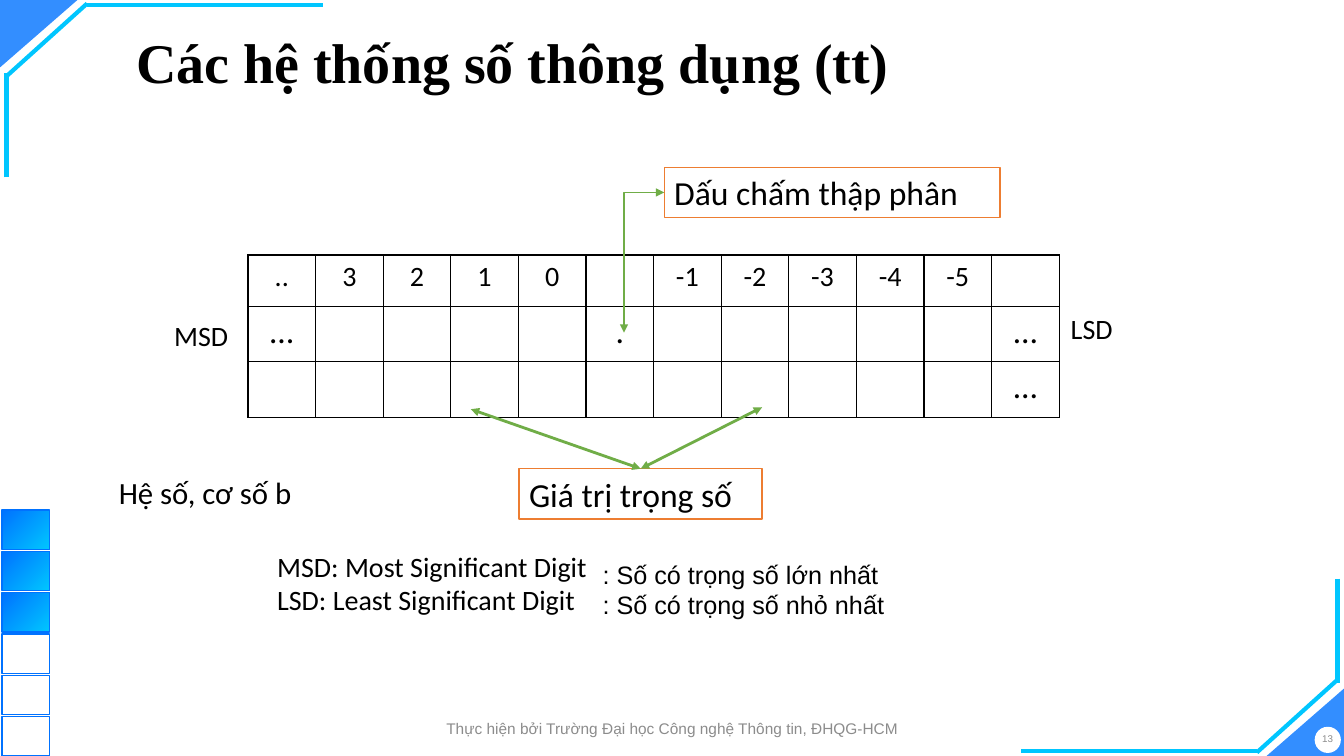
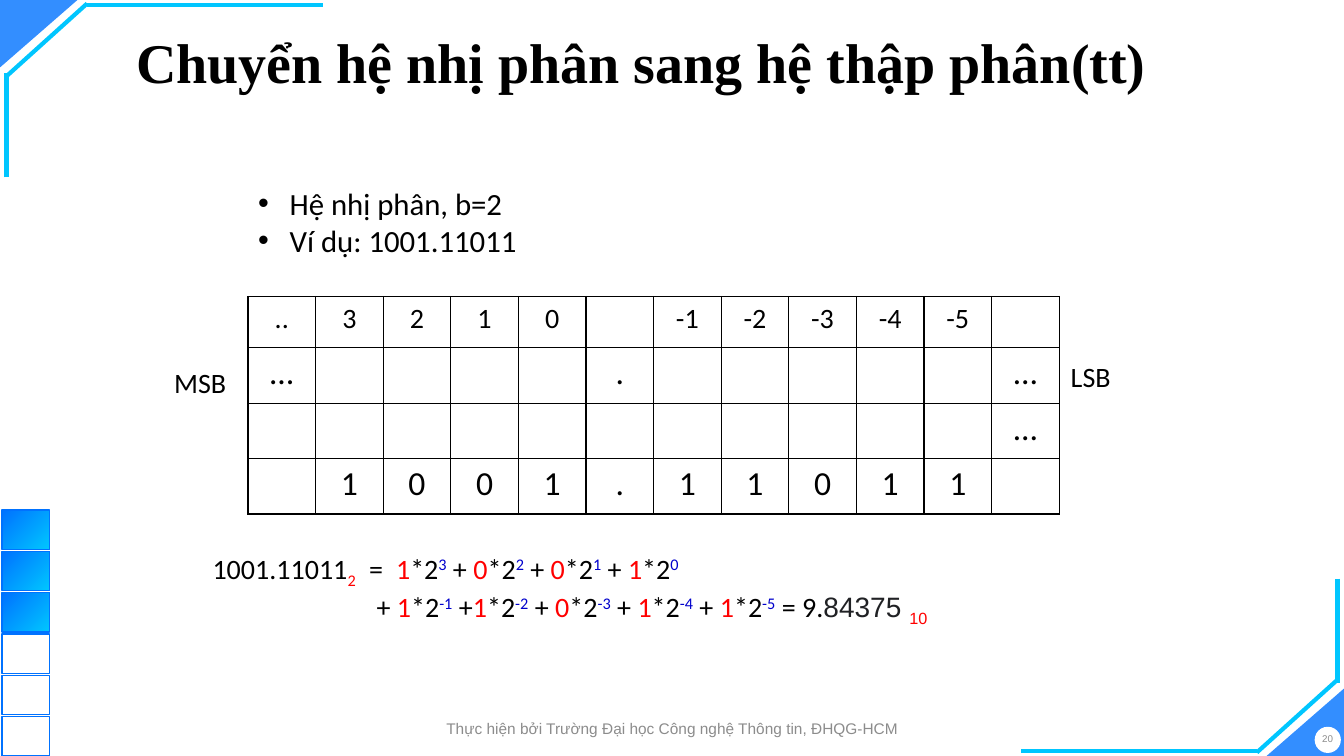
import dataclasses

import pptx
import pptx.dml.color
import pptx.enum.shapes
import pptx.enum.text
import pptx.oxml
import pptx.oxml.ns
import pptx.util

MSO_SHAPE = pptx.enum.shapes.MSO_SHAPE
MSO_CONNECTOR = pptx.enum.shapes.MSO_CONNECTOR
ANCHOR = pptx.enum.text.MSO_ANCHOR
ALIGN = pptx.enum.text.PP_ALIGN
SLIDE_WIDTH = pptx.util.Inches(13.33)
SLIDE_HEIGHT = pptx.util.Inches(7.5)


@dataclasses.dataclass(frozen=True)
class Style:
    size: float
    font: str = "Calibri"
    color: str = "000000"
    bold: bool = False


@dataclasses.dataclass(frozen=True)
class Theme:
    blue: str = "0072FF"
    cyan: str = "00C6FF"
    white: str = "FFFFFF"
    ink: str = "000000"
    orange: str = "ED7D31"
    green: str = "70AD47"
    red: str = "FF0000"
    exponent: str = "0000CC"
    title: Style = Style(40, "Times New Roman", bold=True)
    callout: Style = Style(24)
    bullet: Style = Style(22)
    label: Style = Style(20)
    meaning: Style = Style(18, "Arial")
    result: Style = Style(20, "Arial", "202124")
    footer: Style = Style(11, "Arial", "8C8C8C")
    number: Style = Style(7, "Arial", "8C8C8C")


THEME = Theme()
FOOTER = "Thực hiện bởi Trường Đại học Công nghệ Thông tin, ĐHQG-HCM"


@dataclasses.dataclass(frozen=True)
class Box:
    """A region in hundredths of the slide's width and height."""
    left: float
    top: float
    width: float
    height: float

    def region(self, left, top, width, height):
        return Box(self.left + left * self.width, self.top + top * self.height,
                   width * self.width, height * self.height)

    def point(self, across, down):
        return across_slide(self.left + across * self.width), down_slide(self.top + down * self.height)

    def frame(self):
        return (across_slide(self.left), down_slide(self.top),
                across_slide(self.width), down_slide(self.height))


def across_slide(share):
    return round(SLIDE_WIDTH * share / 100)


def down_slide(share):
    return round(SLIDE_HEIGHT * share / 100)


def rgb(color):
    return pptx.dml.color.RGBColor.from_string(color)


def xml(tag, inner=""):
    return pptx.oxml.parse_xml(f"<a:{tag} {pptx.oxml.ns.nsdecls('a')}>{inner}</a:{tag.split()[0]}>")


# Text, shapes and lines
def format_run(run, style, color=None, baseline=0):
    run.font.name, run.font.size, run.font.bold = style.font, pptx.util.Pt(style.size), style.bold
    run.font.color.rgb = rgb(color or style.color)
    if baseline:
        run._r.get_or_add_rPr().set("baseline", str(baseline * 1000))


def fill_text(shape, text, style, align=ALIGN.LEFT, anchor=ANCHOR.TOP):
    frame = shape.text_frame
    frame.text = text
    frame.word_wrap = True
    frame.auto_size = pptx.enum.text.MSO_AUTO_SIZE.NONE
    frame.vertical_anchor = anchor
    for paragraph in frame.paragraphs:
        paragraph.alignment = align
        paragraph.space_before = pptx.util.Pt(0)
        for run in paragraph.runs:
            format_run(run, style)
    return frame


def add_text(slide, box, text, style, **layout):
    return fill_text(slide.shapes.add_textbox(*box.frame()), text, style, **layout)


def add_shape(slide, kind, box, fill=None, line=None):
    shape = slide.shapes.add_shape(kind, *box.frame())
    shape.shadow.inherit = False
    if fill:
        shape.fill.solid()
        shape.fill.fore_color.rgb = rgb(fill)
    else:
        shape.fill.background()
    if line:
        shape.line.color.rgb = rgb(line)
        shape.line.width = pptx.util.Pt(1)
    else:
        shape.line.fill.background()
    return shape


def add_line(slide, start, end, color, width, kind=MSO_CONNECTOR.STRAIGHT, arrows=False):
    line = slide.shapes.add_connector(kind, *start, *end)
    line.line.color.rgb = rgb(color)
    line.line.width = pptx.util.Pt(width)
    if arrows:
        outline = line.element.xpath(".//a:ln")[0]
        for tag in ("headEnd", "tailEnd"):
            outline.append(xml(f'{tag} type="triangle"'))
    line.element.spPr.append(xml("effectLst"))
    return line


def add_callout(slide, box, text):
    shape = add_shape(slide, MSO_SHAPE.RECTANGLE, box, THEME.white, THEME.orange)
    fill_text(shape, text, THEME.callout)
    return shape


# Master: corners, page disc and the strip of squares
def add_corner(slide, box, turned=False):
    def corner_point(across, down):
        return box.point(1 - across, 1 - down) if turned else box.point(across, down)

    wide, high = 0.24, 0.38
    wedge_box = box.region(1 - wide, 1 - high, wide, high) if turned else box.region(0, 0, wide, high)
    wedge = add_shape(slide, MSO_SHAPE.ISOSCELES_TRIANGLE, wedge_box, THEME.blue)
    wedge.adjustments[0] = 1
    wedge.rotation = 0 if turned else 180
    wedge.element.xpath(".//a:solidFill/a:srgbClr")[0].append(xml('alpha val="80000"'))
    for start, end in (((1, 0.03), (0.27, 0.03)),
                       ((0.27, 0.02), (0.02, 0.43)),
                       ((0.02, 1), (0.02, 0.41))):
        add_line(slide, corner_point(*start), corner_point(*end), THEME.cyan, 3)


def add_square_strip(slide, box, count=6, filled=3, height=0.16):
    step = (1 - height) / (count - 1)
    for index in range(count):
        square = add_shape(slide, MSO_SHAPE.RECTANGLE, box.region(0, index * step, 1, height), line=THEME.blue)
        if index < filled:
            square.fill.gradient()
            square.fill.gradient_angle = 315
            for stop, color in zip(square.fill.gradient_stops, (THEME.blue, THEME.cyan)):
                stop.color.rgb = rgb(color)


def decorate_master(presentation, slide):
    """Draw the shared parts, then hand them to the master."""
    placeholders = len(slide.shapes)
    add_corner(slide, Box(0, 0, 24, 23.47))
    add_corner(slide, Box(76, 76.53, 24, 23.47), turned=True)
    add_shape(slide, MSO_SHAPE.OVAL, Box(97.82, 96.13, 1.95, 3.47), THEME.white)
    add_square_strip(slide, Box(0.15, 67.47, 3.53, 32.53))
    tree = presentation.slide_master.shapes.element
    for number, shape in enumerate(list(slide.shapes)[placeholders:], 100):
        shape.element.xpath(".//p:cNvPr")[0].set("id", str(number))
        tree.append(shape.element)


# Parts found on each slide
def add_frame(slide, title, number):
    heading = slide.shapes.title
    heading.left, heading.top, heading.width, heading.height = Box(9.38, 2.13, 86.27, 13.07).frame()
    frame = fill_text(heading, title, THEME.title, anchor=ANCHOR.MIDDLE)
    frame.paragraphs[0].line_spacing = 0.9
    centred = {"align": ALIGN.CENTER, "anchor": ANCHOR.MIDDLE}
    add_text(slide, Box(29.93, 94.4, 40.2, 3.87), FOOTER, THEME.footer, **centred)
    page = add_text(slide, Box(97.58, 95.6, 2.4, 4.27), str(number), THEME.number, **centred)
    page.margin_left = page.margin_right = 0


def format_cell(cell, text, style):
    properties = cell._tc.get_or_add_tcPr()
    for side in "LRTB":
        properties.append(xml(f'ln{side} w="12192"',
                              f'<a:solidFill><a:srgbClr val="{THEME.ink}"/></a:solidFill>'))
    cell.fill.background()
    if text:
        cell.text = text
        paragraph = cell.text_frame.paragraphs[0]
        paragraph.alignment = ALIGN.CENTER
        format_run(paragraph.runs[0], style)


def add_digit_table(slide, top, names, name_drop, digits=None):
    """Place values above digit rows, named at the most and least significant ends."""
    rows = [["..", *"3210", "", *(str(-place) for place in range(1, 6)), ""],
            ["…", *[""] * 4, ".", *[""] * 5, "…"],
            [""] * 11 + ["…"]]
    if digits:
        rows.append(["", *digits, ""])
    heights = [6.8] + [7.33] * (len(rows) - 1)
    box = Box(18.45, top, 60.38, sum(heights))
    table = slide.shapes.add_table(len(rows), len(rows[0]), *box.frame()).table
    table.first_row = table.horz_banding = False
    for column in table.columns:
        column.width = across_slide(box.width / len(rows[0]))
    for row_index, (row, height) in enumerate(zip(rows, heights)):
        table.rows[row_index].height = down_slide(height)
        for column_index, text in enumerate(row):
            format_cell(table.cell(row_index, column_index), text,
                        THEME.callout if row_index else THEME.label)
    name_width = 6.23
    for name, left, drop in ((names[0], box.left - name_width, name_drop),
                             (names[1], box.left + box.width + 0.1, name_drop - 0.87)):
        add_text(slide, Box(left, top + drop, name_width, 5.87), name, THEME.label)


def add_formula(slide, box):
    """Sum of digit times power of two, over two lines."""
    frame = add_text(slide, box, "", THEME.label)
    first, second = frame.paragraphs[0], frame.add_paragraph()
    equals, terms = across_slide(11.65), across_slide(13.65)
    stops = "".join(f'<a:tab pos="{stop}" algn="l"/>' for stop in (equals, terms))
    first._p.get_or_add_pPr().append(xml("tabLst", stops))
    second._p.get_or_add_pPr().set("marL", str(across_slide(12.2)))

    def write(paragraph, text, color=None, baseline=0, style=THEME.label):
        run = paragraph.add_run()
        run.text = text
        format_run(run, style, color, baseline)

    def write_terms(paragraph, digits, powers, joints):
        for digit, power, joint in zip(digits, powers, joints):
            write(paragraph, joint)
            write(paragraph, digit, THEME.red)
            write(paragraph, "*2")
            write(paragraph, str(power), THEME.exponent, 30)

    write(first, "1001.11011")
    write(first, "2", THEME.red, -25)
    write_terms(first, "1001", range(3, -1, -1), ("\t=\t", " + ", " + ", " + "))
    write_terms(second, "11011", range(-1, -6, -1), ("+ ", " +", " + ", " + ", " + "))
    write(second, " = 9.")
    write(second, "84375 ", style=THEME.result)
    write(second, "10", THEME.red, -25, THEME.result)


# Slides
def build_number_systems(slide):
    add_frame(slide, "Các hệ thống số thông dụng (tt)", 13)
    add_digit_table(slide, 33.73, ("MSD", "LSD"), 7.73)
    point_box = Box(49.43, 22.13, 24.98, 6.67)
    add_callout(slide, point_box, "Dấu chấm thập phân")
    elbow = add_line(slide, Box(46.43, 44, 0, 0).point(0, 0), point_box.point(0, 0.5),
                     THEME.green, 1, MSO_CONNECTOR.ELBOW, arrows=True)
    geometry = elbow.element.xpath(".//a:prstGeom")[0]
    for adjustments in list(geometry):
        geometry.remove(adjustments)
    geometry.append(xml("avLst", '<a:gd name="adj1" fmla="val 100"/>'))
    weight_box = Box(38.63, 62, 18.08, 6.67)
    weight = add_callout(slide, weight_box, "Giá trị trọng số")
    for across, down in ((35.03, 54.13), (56.71, 53.87)):
        arrow = add_line(slide, weight_box.point(0.5, 0), Box(across, down, 0, 0).point(0, 0),
                         THEME.green, 0, arrows=True)
        arrow.begin_connect(weight, 0)
    add_text(slide, Box(8.1, 62, 16, 6.27), "Hệ số, cơ số b", THEME.bullet)
    add_text(slide, Box(19.88, 72, 27, 10.27),
             "MSD: Most Significant Digit\nLSD: Least Significant Digit", THEME.label)
    add_text(slide, Box(44.1, 73.33, 26.25, 8.8),
             ": Số có trọng số lớn nhất\n: Số có trọng số nhỏ nhất", THEME.meaning)


def build_binary_to_decimal(slide):
    add_frame(slide, "Chuyển hệ nhị phân sang hệ thập phân(tt)", 20)
    body = slide.placeholders[1]
    body.left, body.top, body.width, body.height = Box(18.45, 23.73, 22.8, 11.2).frame()
    frame = fill_text(body, "Hệ nhị phân, b=2\nVí dụ: 1001.11011", THEME.bullet)
    indent = across_slide(2.35)
    for paragraph in frame.paragraphs:
        properties = paragraph._p.get_or_add_pPr()
        properties.set("marL", str(indent))
        properties.set("indent", str(-indent))
    add_digit_table(slide, 39.2, ("MSB", "LSB"), 8.53, "1001.11011")
    add_formula(slide, Box(15.08, 72.27, 63.98, 10.27))


def main():
    presentation = pptx.Presentation()
    presentation.slide_width, presentation.slide_height = SLIDE_WIDTH, SLIDE_HEIGHT
    title_only, title_and_body = presentation.slide_layouts[5], presentation.slide_layouts[1]
    first = presentation.slides.add_slide(title_only)
    decorate_master(presentation, first)
    build_number_systems(first)
    build_binary_to_decimal(presentation.slides.add_slide(title_and_body))
    presentation.save("out.pptx")


if __name__ == "__main__":
    main()
